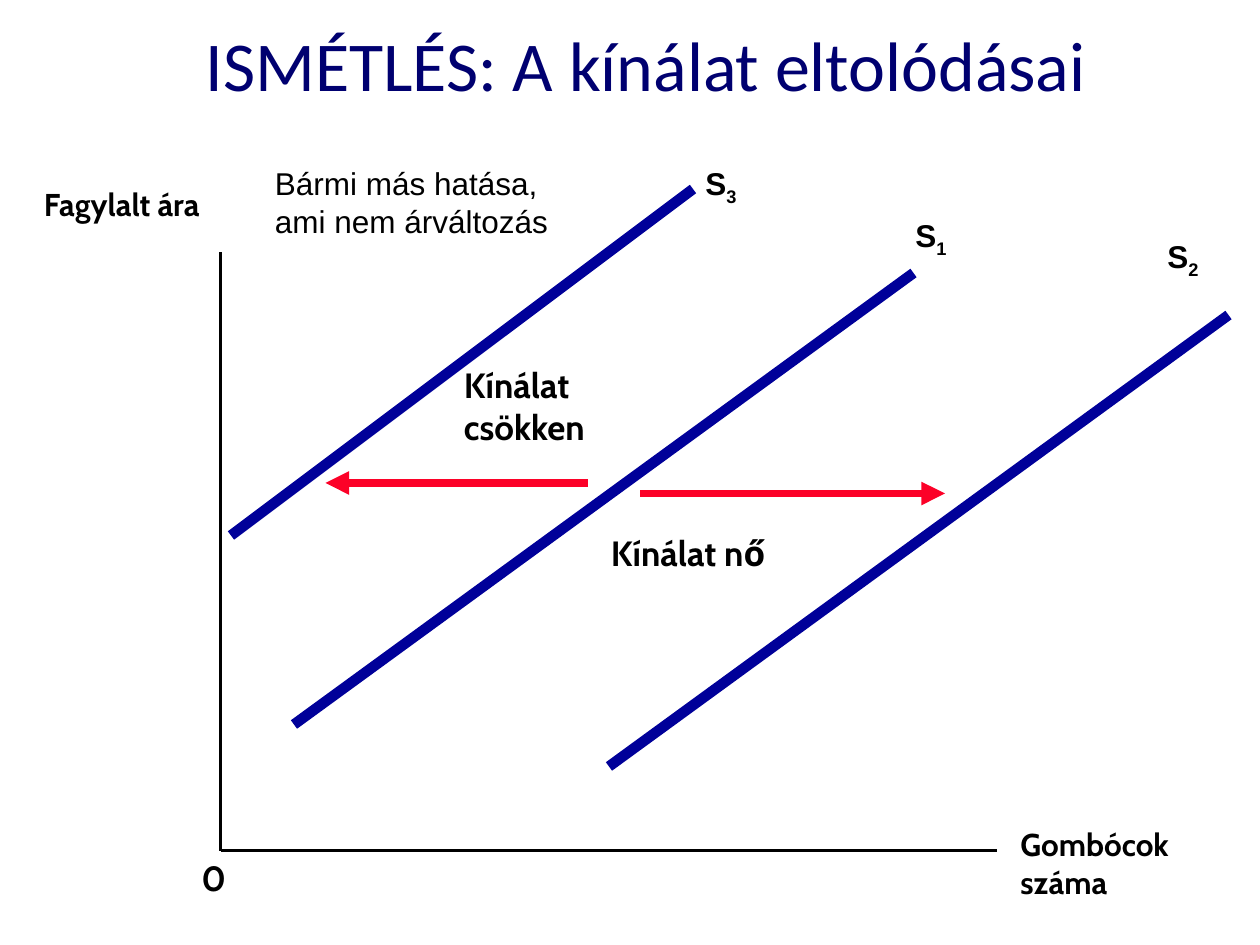
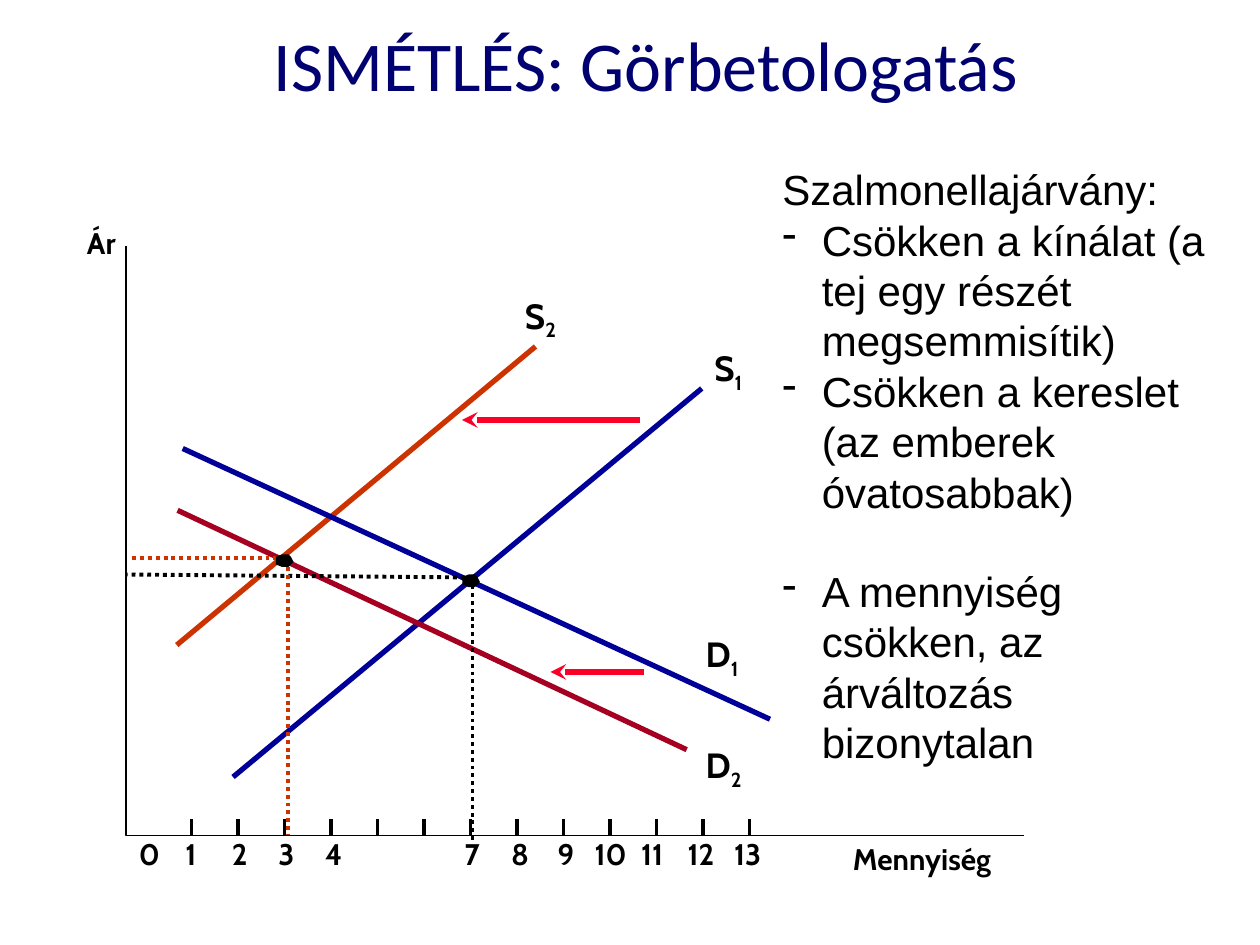
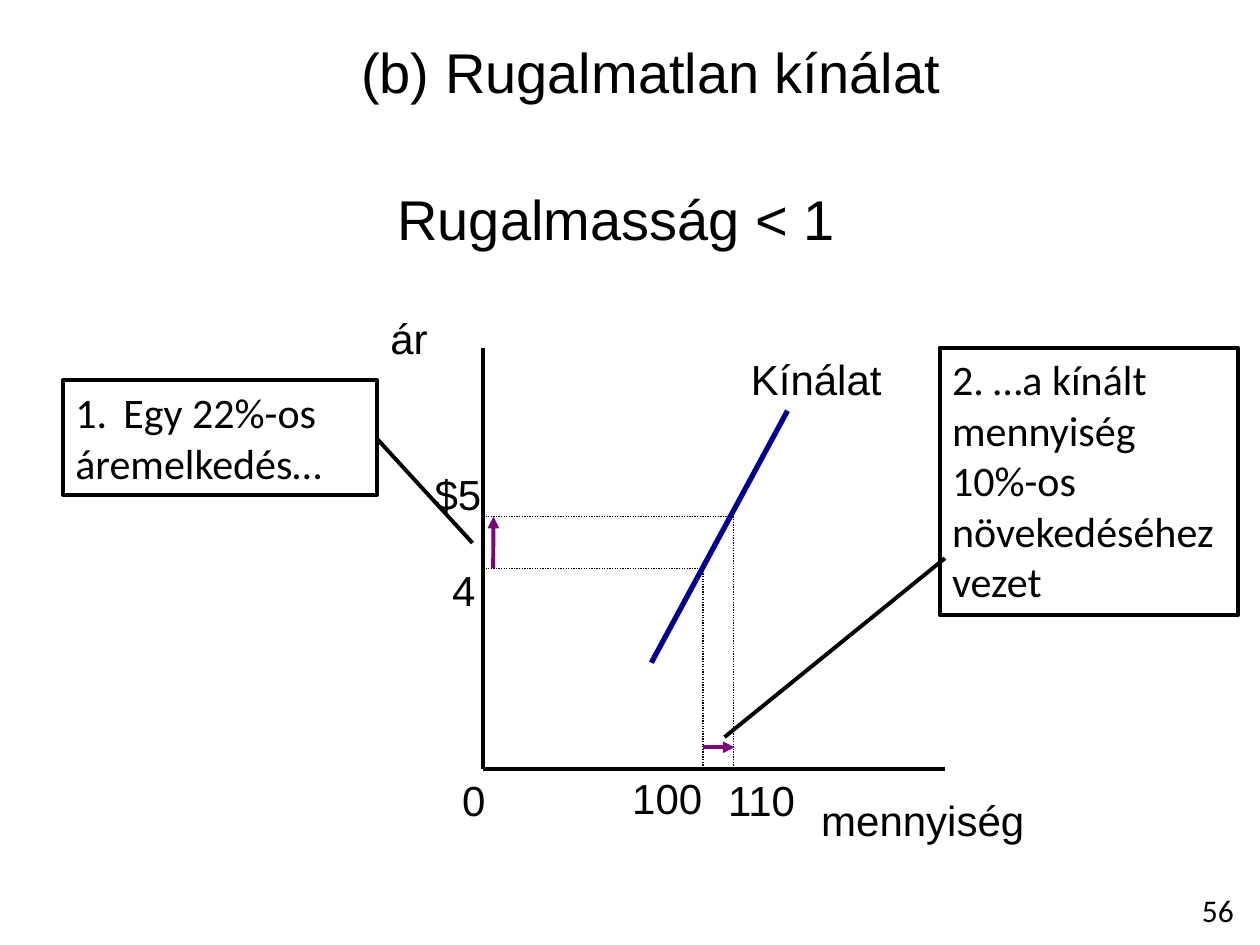
"""Builds three slides on supply shifts, curve shifting and inelastic supply."""
from lxml import etree
from pptx import Presentation
from pptx.dml.color import RGBColor
from pptx.enum import dml, shapes, text
from pptx.oxml.ns import qn
from pptx.util import Pt

BLACK = RGBColor(0x00, 0x00, 0x00)
NAVY = RGBColor(0x00, 0x00, 0x70)
BLUE = RGBColor(0x00, 0x00, 0x99)
RED = RGBColor(0xFC, 0x01, 0x28)
ORANGE = RGBColor(0xCC, 0x33, 0x00)
CRIMSON = RGBColor(0xA5, 0x00, 0x21)
PURPLE = RGBColor(0x80, 0x00, 0x80)

CENTER, RIGHT = text.PP_ALIGN.CENTER, text.PP_ALIGN.RIGHT
MIDDLE = text.MSO_ANCHOR.MIDDLE
DOTTED = dml.MSO_LINE.ROUND_DOT

AXIS = dict(width=2.25)
SHIFT_CURVE = dict(color=BLUE, width=6)
SHIFT_ARROW = dict(color=RED, width=4.5, tip="triangle")
MOVE_ARROW = dict(color=RED, width=3, tip="stealth")
GUIDE = dict(width=0.75, dash=DOTTED)
CHANGE_ARROW = dict(color=PURPLE, width=2.25, tip="triangle")

TITLE = dict(size=40, font="Calibri", color=NAVY, align=CENTER, anchor=MIDDLE)
HEADING = dict(size=32, align=CENTER)
AXIS_NAME = dict(size=18, font="Cabin", bold=True)
SHIFT_NAME = dict(size=20, font="Cabin", bold=True)
SUPPLY_NAME = dict(size=18, bold=True)
CURVE_NAME = dict(size=20, font="Cabin", bold=True, inset=False, wrap=False)
SCALE = dict(size=17, font="Cabin", bold=True, inset=False, wrap=False)
VALUE = dict(size=24, wrap=False)
CALLOUT = dict(size=24, font="Calibri", outline=True)

TITLE_BOX = (18, 6, 702, 60)

SHIFT_LINES = [
    ((126, 144), (126, 486), AXIS),
    ((126, 486), (570, 486), AXIS),
    ((168, 414), (522, 156), SHIFT_CURVE),
    ((348, 438), (702, 180), SHIFT_CURVE),
    ((132, 306), (396, 108), SHIFT_CURVE),
    ((366, 282), (540, 282), SHIFT_ARROW),
    ((336, 276), (186, 276), SHIFT_ARROW),
]
SHIFT_TEXTS = [
    ("ISMÉTLÉS: A kínálat eltolódásai", TITLE_BOX, TITLE),
    ("Fagylalt ára", (18, 102, 120, 51), AXIS_NAME),
    ("Gombócok száma", (576, 468, 120, 51), AXIS_NAME),
    ("0", (108, 486, 36, 31), SHIFT_NAME),
    ("S_1", (516, 120, 48, 45), SUPPLY_NAME),
    ("S_2", (660, 132, 48, 45), SUPPLY_NAME),
    ("S_3", (396, 90, 48, 45), SUPPLY_NAME),
    ("Kínálat nő", (342, 300, 132, 32), SHIFT_NAME),
    ("Kínálat csökken", (258, 204, 132, 55), SHIFT_NAME),
    ("Bármi más hatása, ami nem árváltozás", (150, 90, 186, 51), dict(size=18)),
]

EPIDEMIC = [
    ("Szalmonellajárvány:", None, 0),
    ("Csökken a kínálat (a tej egy részét megsemmisítik)", "-", 0),
    ("Csökken a kereslet (az emberek óvatosabbak)", "-", 0),
    ("A mennyiség csökken, az árváltozás bizonytalan", "-", 28),
]
MARKET_LINES = [
    ((306, 198), (101, 368.6), dict(color=ORANGE, width=3)),
    ((401, 222), (133.2, 444), dict(color=BLUE, width=3)),
    ((104.4, 256.3), (440, 411), dict(color=BLUE, width=3)),
    ((101.5, 291.6), (392.4, 428.4), dict(color=CRIMSON, width=3)),
    ((366, 240), (264, 240), MOVE_ARROW),
    ((368, 384), (314.6, 384), MOVE_ARROW),
    ((270, 330), (270, 480), dict(width=2.25, dash=DOTTED)),
    ((270, 330), (72, 328.3), dict(width=2.25, dash=DOTTED)),
]
MARKET_TEXTS = [
    ("ISMÉTLÉS: Görbetologatás", TITLE_BOX, TITLE),
    ("Ár", (46.8, 131.8, 19.4, 17.3), dict(SCALE, align=RIGHT, spacing=0.85)),
    ("Mennyiség", (487.4, 483.8, 92.2, 17.3), dict(SCALE, spacing=0.85)),
    ("S_1", (408.2, 198, 21.6, 24.5), CURVE_NAME),
    ("S_2", (300, 168, 36, 24), dict(CURVE_NAME, wrap=True)),
    ("D_1", (403.2, 361.4, 23.8, 24.5), CURVE_NAME),
    ("D_2", (403.2, 424.8, 24.5, 24.5), CURVE_NAME),
    (EPIDEMIC, (440, 90, 255.6, 356.4), dict(size=24, indent=22.5)),
]
MARKET_AXES = [(72, 140.4), (72, 477.4), (585.4, 477.4)]
NEW_PRICE = [(75.6, 319), (164.4, 319), (164.4, 477.4)]
EQUILIBRIA = [(264.2, 328.3), (157.7, 316.8)]
DOT = [(5, 7.2), (7.2, 7.2), (8.6, 5.8), (10.1, 4.3), (8.6, 1.4), (7.2, 0),
       (5, 0), (3.6, 0), (0, 1.4), (0, 4.3), (0, 5.8), (3.6, 7.2)]
TICKS = range(1, 14)
NUMBERED = [0, 1, 2, 3, 4, 7, 8, 9, 10, 11, 12, 13]
TICK_ORIGIN, TICK_STEP, TICK_TOP, TICK_BOTTOM = 82.8, 26.58, 468, 477.4
DIGIT_WIDTH, NUMBER_SHIFT = 10.8, 2

PRICE_RISE = [("Egy 22%-os", "1.", 0), ("áremelkedés…", None, 0)]
QUANTITY_RISE = [(line, None, 0) for line in
                 ("2. …a kínált", "mennyiség", "10%-os", "növekedéséhez", "vezet")]
INELASTIC_LINES = [
    ((276, 198.7), (276, 439.2), AXIS),
    ((276, 439.2), (540, 439.2), AXIS),
    ((276, 295.2), (419.5, 295.2), GUIDE),
    ((276, 324.7), (401.8, 324.7), GUIDE),
    ((401.8, 324.7), (401.8, 439.2), GUIDE),
    ((419, 295.2), (419, 439.2), GUIDE),
    ((281.8, 324.7), (282, 295.2), CHANGE_ARROW),
    ((401.8, 427), (419.8, 427), CHANGE_ARROW),
    ((270, 310.3), (215.3, 250.6), AXIS),
    ((414, 421.2), (540, 319), AXIS),
    ((372.2, 378.7), (450, 234.7), dict(color=BLUE, width=3)),
]
INELASTIC_TEXTS = [
    ("(b) Rugalmatlan kínálat", (24, 18, 696, 42), HEADING),
    ("Rugalmasság < 1", (219, 102, 266.4, 46), HEADING),
    ("ár", (216, 175, 42.5, 36), VALUE),
    ("mennyiség", (462.2, 450.7, 139, 36), VALUE),
    ("0", (257, 439.2, 28, 36), VALUE),
    ("$5", (241.2, 264.2, 41.8, 36.7), VALUE),
    ("4", (251.3, 319, 28, 36.7), VALUE),
    ("100", (354.2, 437.8, 54.7, 36), VALUE),
    ("110", (409, 439.2, 53.3, 36), VALUE),
    ("Kínálat", (422, 198.7, 90, 36), VALUE),
    (PRICE_RISE, (36, 217.4, 179.3, 65.5), dict(CALLOUT, wrap=False, indent=27.4)),
    (QUANTITY_RISE, (537, 198.7, 170.6, 152.6), CALLOUT),
    ("56", (671.8, 505.4, 48.2, 28.8), dict(size=18, font="Calibri", align=CENTER)),
]


def write(slide, content, box, size=18, font="Arial", color=BLACK, bold=False,
          align=None, anchor=text.MSO_ANCHOR.TOP, inset=True, wrap=True,
          spacing=None, indent=0, outline=False):
    frame_box = [Pt(length) for length in box]
    if outline:
        holder = slide.shapes.add_shape(shapes.MSO_SHAPE.RECTANGLE, *frame_box)
        holder.shadow.inherit = False
        holder.fill.background()
        holder.line.color.rgb, holder.line.width = BLACK, Pt(2.25)
    else:
        holder = slide.shapes.add_textbox(*frame_box)
    frame = holder.text_frame
    frame.word_wrap = wrap
    frame.vertical_anchor = anchor
    if align != CENTER:
        frame.auto_size = text.MSO_AUTO_SIZE.SHAPE_TO_FIT_TEXT
    if not inset:
        frame.margin_left = frame.margin_right = frame.margin_top = frame.margin_bottom = 0
    rows = [(content, None, 0)] if isinstance(content, str) else content
    for index, (words, bullet, gap) in enumerate(rows):
        paragraph = frame.paragraphs[0] if index == 0 else frame.add_paragraph()
        paragraph.alignment = align or text.PP_ALIGN.LEFT
        if spacing:
            paragraph.line_spacing = spacing
        if gap:
            paragraph.space_before = Pt(gap)
        if bullet:
            add_bullet(paragraph, bullet, indent)
        for level, part in enumerate(words.split("_")):
            run = paragraph.add_run()
            run.text = part
            run.font.size, run.font.name, run.font.bold = Pt(size), font, bold
            run.font.color.rgb = color
            if level:
                run._r.get_or_add_rPr().set("baseline", "-25000")


def add_bullet(paragraph, bullet, indent):
    properties = paragraph._p.get_or_add_pPr()
    properties.set("marL", str(Pt(indent)))
    properties.set("indent", str(-Pt(indent)))
    if bullet == "1.":
        etree.SubElement(properties, qn("a:buAutoNum"), type="arabicPeriod")
    else:
        etree.SubElement(properties, qn("a:buChar"), char=bullet)


def draw_line(slide, start, end, color=BLACK, width=2.0, dash=None, tip=None):
    ends = [Pt(length) for length in (*start, *end)]
    stroke = slide.shapes.add_connector(shapes.MSO_CONNECTOR.STRAIGHT, *ends)
    stroke.line.color.rgb, stroke.line.width = color, Pt(width)
    if dash:
        stroke.line.dash_style = dash
    if tip:
        etree.SubElement(stroke.line._get_or_add_ln(), qn("a:tailEnd"), type=tip)
    etree.SubElement(stroke._element.spPr, qn("a:effectLst"))


def draw_outline(slide, points, color=BLACK, width=None, dash=None):
    """Draws an open stroke when a width is given, else a filled outline."""
    corners = [(Pt(x), Pt(y)) for x, y in points]
    builder = slide.shapes.build_freeform(*corners[0])
    builder.add_line_segments(corners[1:], close=width is None)
    outline = builder.convert_to_shape()
    outline.shadow.inherit = False
    if width is None:
        outline.fill.solid()
        outline.fill.fore_color.rgb = color
        outline.line.fill.background()
        return
    outline.fill.background()
    outline.line.color.rgb, outline.line.width = color, Pt(width)
    if dash:
        outline.line.dash_style = dash


def draw_scale(slide):
    for number in TICKS:
        x = TICK_ORIGIN + TICK_STEP * number
        draw_line(slide, (x, TICK_TOP), (x, TICK_BOTTOM))
    for number in NUMBERED:
        width = DIGIT_WIDTH * len(str(number))
        left = TICK_ORIGIN + TICK_STEP * number + NUMBER_SHIFT - width / 2
        write(slide, str(number), (left, TICK_BOTTOM, width, 20), **SCALE)


def add_diagram(deck, lines, texts):
    slide = deck.slides.add_slide(deck.slide_layouts[6])
    for start, end, style in lines:
        draw_line(slide, start, end, **style)
    for content, box, style in texts:
        write(slide, content, box, **style)
    return slide


def main():
    deck = Presentation()
    deck.slide_width, deck.slide_height = Pt(720), Pt(540)
    add_diagram(deck, SHIFT_LINES, SHIFT_TEXTS)
    market = add_diagram(deck, MARKET_LINES, MARKET_TEXTS)
    draw_scale(market)
    draw_outline(market, MARKET_AXES, width=1)
    draw_outline(market, NEW_PRICE, color=ORANGE, width=2.25, dash=DOTTED)
    for left, top in EQUILIBRIA:
        draw_outline(market, [(left + x, top + y) for x, y in DOT])
    add_diagram(deck, INELASTIC_LINES, INELASTIC_TEXTS)
    deck.save("out.pptx")


if __name__ == "__main__":
    main()
